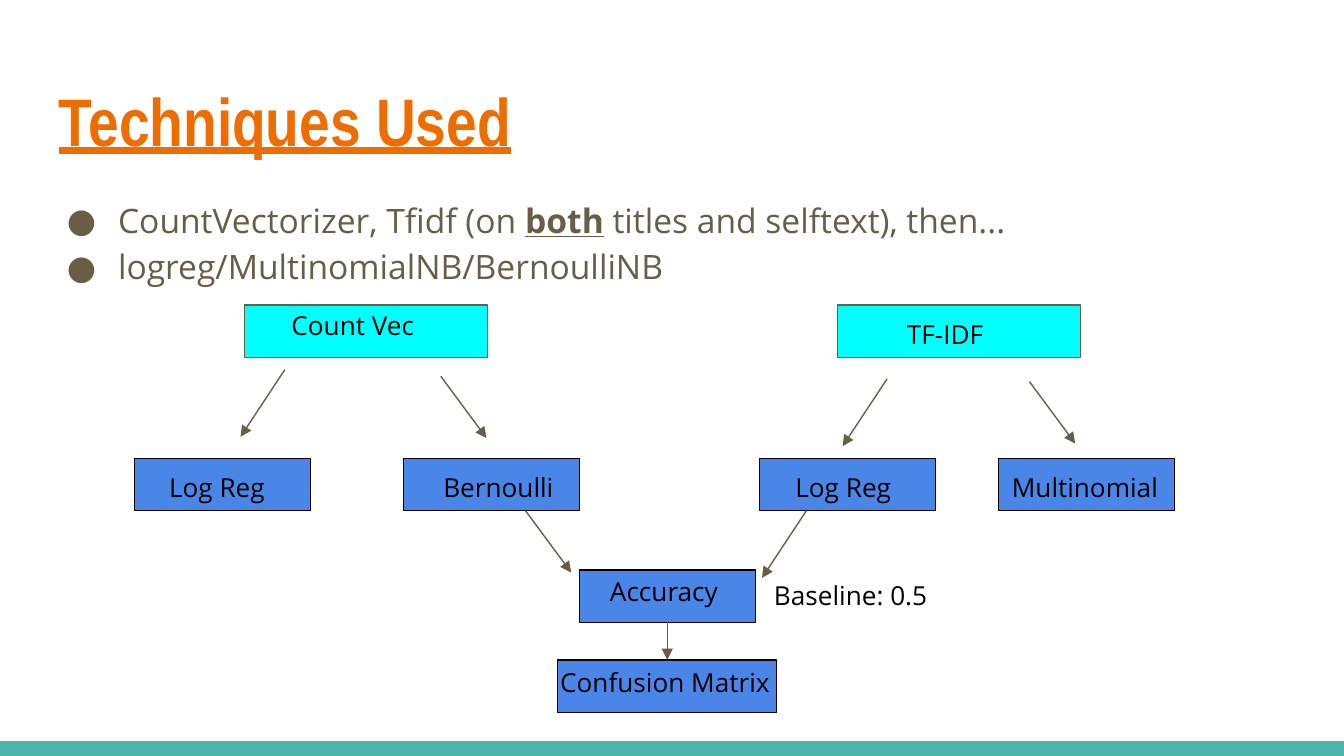
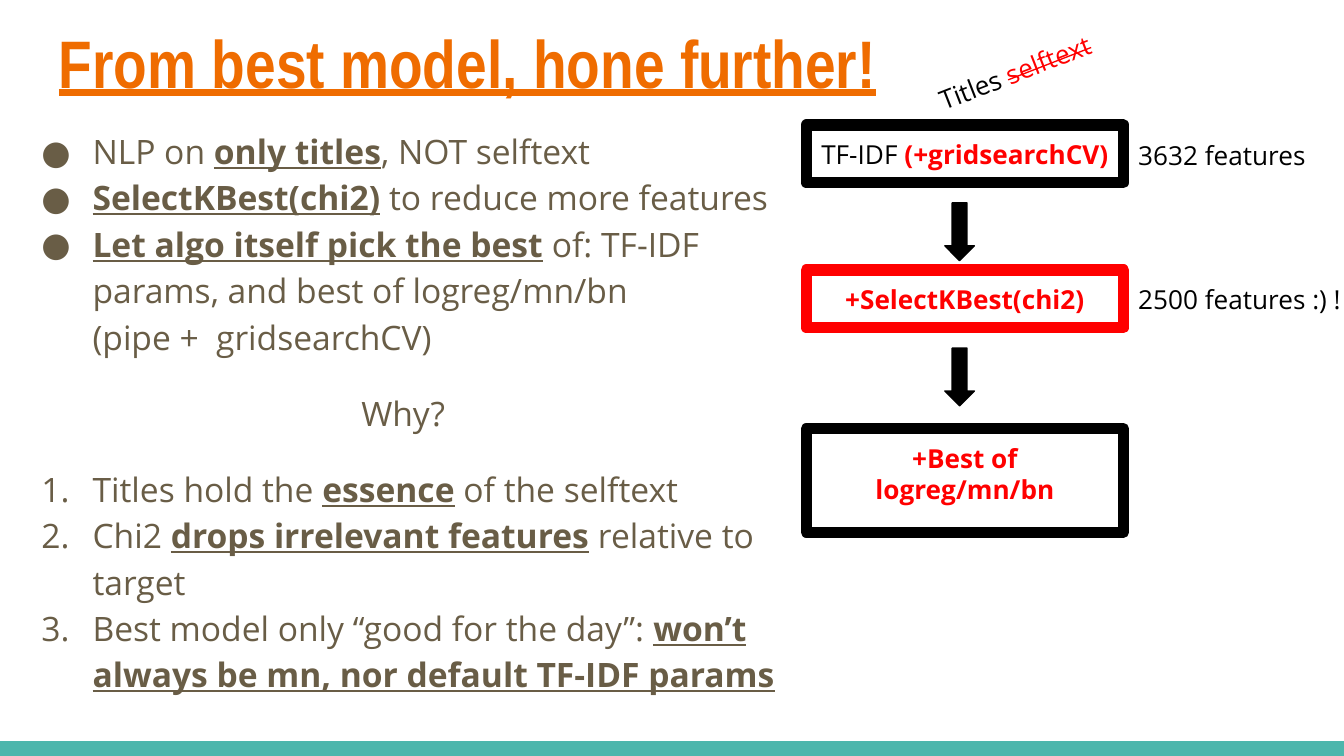
import lxml.etree
import pptx
import pptx.dml.color
import pptx.enum.shapes
import pptx.enum.text
import pptx.oxml.ns
import pptx.util

PX = 9144  # EMU in one px, 100 px to the inch
PAGE_WIDTH = 1000
PAGE_HEIGHT = PAGE_WIDTH * 9 / 16
BAND_HEIGHT = 11

ORANGE, BROWN, TEAL = "EF6C00", "695D46", "4DB6AC"
CYAN, BLUE, BLACK, RED = "00FFFF", "4A86E8", "000000", "FF0000"
TITLE_FONT, BODY_FONT = "Arial Narrow", "Open Sans"

SHAPES = pptx.enum.shapes.MSO_SHAPE
CENTER = pptx.enum.text.PP_ALIGN.CENTER


# Shared helpers

def px(*lengths):
    return [pptx.util.Emu(round(length * PX)) for length in lengths]


def color(hex_string):
    return pptx.dml.color.RGBColor.from_string(hex_string)


def add_xml(parent, tag, **attributes):
    return lxml.etree.SubElement(parent, pptx.oxml.ns.qn(tag), attributes)


def underlined(span):
    span.font.bold = span.font.underline = True


def red_bold(span):
    span.font.bold = True
    span.font.color.rgb = color(RED)


def red_struck(span):
    span.font.color.rgb = color(RED)
    span.font._element.set("strike", "sngStrike")


def write(para, text, size, hue, font=BODY_FONT, emphasis=underlined):
    """Write text into a paragraph; parts between asterisks get the emphasis."""
    for part_number, part in enumerate(text.split("*")):
        for line_number, line in enumerate(part.split("\n")):
            if line_number:
                para.add_line_break()
            if not line:
                continue
            span = para.add_run()
            span.text = line
            span.font.name = font
            span.font.size = pptx.util.Pt(size)
            span.font.color.rgb = color(hue)
            if part_number % 2:
                emphasis(span)


def prepare_frame(shape):
    frame = shape.text_frame
    frame.word_wrap = True
    frame.vertical_anchor = pptx.enum.text.MSO_ANCHOR.TOP
    frame.margin_left = frame.margin_top = px(10)[0]
    frame.margin_right = frame.margin_bottom = px(10)[0]
    return frame


def add_text_box(page, box):
    shape = page.shapes.add_textbox(*px(*box))
    return shape, prepare_frame(shape)


def add_label(page, text, box, emphasis=red_bold):
    shape, frame = add_text_box(page, box)
    write(frame.paragraphs[0], text, 14, BLACK, emphasis=emphasis)
    return shape


def add_block(page, box, fill=None, line=None, weight=0.75, kind=SHAPES.RECTANGLE):
    shape = page.shapes.add_shape(kind, *px(*box))
    shape.shadow.inherit = False
    if fill:
        shape.fill.solid()
        shape.fill.fore_color.rgb = color(fill)
    else:
        shape.fill.background()
    if line:
        shape.line.color.rgb = color(line)
        shape.line.width = pptx.util.Pt(weight)
        add_xml(shape.line._get_or_add_ln(), "a:round")
    else:
        shape.line.fill.background()
    return shape


def add_arrow(page, start_x, start_y, end_x, end_y):
    arrow = page.shapes.add_connector(
        pptx.enum.shapes.MSO_CONNECTOR.STRAIGHT, *px(start_x, start_y, end_x, end_y))
    arrow.line.color.rgb = color(BROWN)
    arrow.line.width = pptx.util.Pt(0.75)
    add_xml(arrow.line._get_or_add_ln(), "a:tailEnd", type="triangle")
    add_xml(arrow._element.spPr, "a:effectLst")
    return arrow


# Parts on every page

def add_page(deck, title, title_top):
    page = deck.slides.add_slide(deck.slide_layouts[6])
    add_block(page, (0, PAGE_HEIGHT - BAND_HEIGHT, PAGE_WIDTH, BAND_HEIGHT), fill=TEAL)
    frame = add_text_box(page, (34, title_top, 932, 77))[1]
    write(frame.paragraphs[0], f"*{title}*", 36, ORANGE, TITLE_FONT)
    return page


def add_body(page, box, items):
    """Each item is its mark (bullet, number or plain), space before, and text."""
    frame = add_text_box(page, box)[1]
    for number, (mark, space_before, text) in enumerate(items):
        para = frame.add_paragraph() if number else frame.paragraphs[0]
        para.line_spacing = 1.15
        para.space_before = pptx.util.Pt(space_before)
        write(para, text, 18, BROWN)
        properties = para._p.get_or_add_pPr()
        margin, indent = px(200, 50) if mark == "plain" else px(50, -38)
        properties.set("marL", str(int(margin)))
        properties.set("indent", str(int(indent)))
        if mark == "plain":
            continue
        add_xml(add_xml(properties, "a:buClr"), "a:srgbClr", val=BROWN)
        add_xml(properties, "a:buFont", typeface=BODY_FONT)
        if mark == "bullet":
            add_xml(properties, "a:buChar", char="●")
        else:
            add_xml(properties, "a:buAutoNum", type="arabicPeriod")


# Techniques page

def add_flow(page, left, top):
    # Text, block x, y and width, label x, y and width
    nodes = [
        ("Count Vec", 82, 7, 181, 107, 0, 131),
        ("TF-IDF", 523, 7, 181, 565, 7, 97),
        ("Log Reg", 0, 121, 131, 16, 121, 97),
        ("Bernoulli", 200, 121, 131, 220, 121, 105),
        ("Log Reg", 465, 121, 131, 482, 121, 97),
        ("Multinomial", 643, 121, 131, 643, 121, 145),
        ("Accuracy", 331, 204, 131, 344, 198, 105),
        ("Confusion Matrix", 315, 271, 163, 307, 266, 193),
    ]
    blocks = []
    for text, x, y, width, label_x, label_y, label_width in nodes:
        fill, line = (CYAN, BROWN) if y == 7 else (BLUE, BLACK)
        blocks.append(add_block(page, (left + x, top + y, width, 39), fill, line))
        add_label(page, text, (left + label_x, top + label_y, label_width, 21))
    add_label(page, "Baseline: 0.5", (left + 466, top + 201, 162, 31))

    # Slanted arrows: each direction has one run and fall
    slants = {
        (-33, 50): [(112, 55), (560, 62), (500, 160)],
        (34, 46): [(228, 60), (666, 64), (291, 160)],
    }
    for (run, fall), starts in slants.items():
        for x, y in starts:
            add_arrow(page, left + x, top + y, left + x + run, top + y + fall)

    # Accuracy leads straight down to the confusion matrix
    accuracy, matrix = blocks[-2:]
    arrow = add_arrow(page, left + 396, top + 243, left + 396, top + 271)
    arrow.begin_connect(accuracy, 2)
    arrow.end_connect(matrix, 0)


def add_techniques_page(deck):
    page = add_page(deck, "Techniques Used", 49)
    add_body(page, (28, 134, 932, 361), [
        ("bullet", 0, "CountVectorizer, Tfidf (on *both* titles and selftext), then..."),
        ("bullet", 0, "logreg/MultinomialNB/BernoulliNB"),
    ])
    add_flow(page, 100, 220)


# Honing page

def add_model_chain(page, left, top):
    steps = [
        ("TF-IDF *(+gridsearchCV)*", 61, 43, BLACK),
        ("*+SelectKBest(chi2)*", 169, 43, RED),
        ("*+Best of logreg/mn/bn*", 287, 77, BLACK),
    ]
    for text, y, height, line in steps:
        block = add_block(page, (left, top + y, 236, height), line=line, weight=6)
        para = prepare_frame(block).paragraphs[0]
        para.alignment = CENTER
        write(para, text, 14, BLACK, emphasis=red_bold)
    for y in (119, 227):
        add_block(page, (left + 103, top + y, 22, 43), BLACK, BLACK,
                  kind=SHAPES.DOWN_ARROW)

    # Notes beside and above the chain
    add_label(page, "3632 features", (left + 237, top + 62, 162, 43))
    add_label(page, "2500 features :) !", (left + 237, top + 169, 188, 43))
    tilted = add_label(page, "Titles *selftext*", (left + 44, top, 222, 43), red_struck)
    tilted.text_frame.paragraphs[0].alignment = CENTER
    tilted.rotation = 338.7


def add_honing_page(deck):
    page = add_page(deck, "From best model, hone further!", 6)
    add_body(page, (9, 83, 591, 361), [
        ("bullet", 0, "NLP on *only titles*, NOT selftext"),
        ("bullet", 0, "*SelectKBest(chi2)* to reduce more features"),
        ("bullet", 0, "*Let algo itself pick the best* of: TF-IDF params, "
                      "and best of logreg/mn/bn \n(pipe +  gridsearchCV)"),
        ("plain", 16, "Why?"),
        ("number", 16, "Titles hold the *essence* of the selftext"),
        ("number", 0, "Chi2 *drops irrelevant features* relative to target"),
        ("number", 0, "Best model only “good for the day”: "
                      "*won’t always be mn, nor default TF-IDF params*"),
    ])
    add_model_chain(page, 600, 32)


def main():
    deck = pptx.Presentation()
    deck.slide_width, deck.slide_height = px(PAGE_WIDTH, PAGE_HEIGHT)
    add_techniques_page(deck)
    add_honing_page(deck)
    deck.save("out.pptx")


if __name__ == "__main__":
    main()
